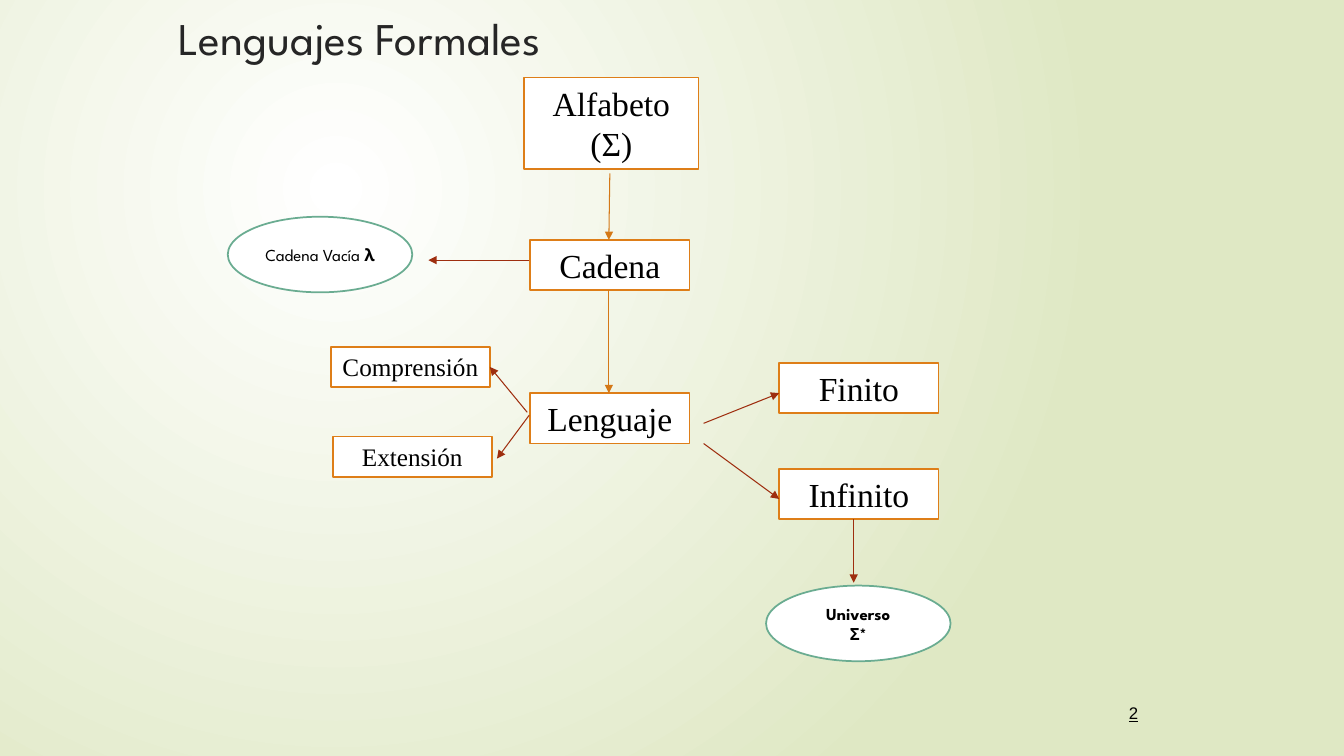
from pptx import Presentation
from pptx.util import Pt
from pptx.dml.color import RGBColor
from pptx.enum.shapes import MSO_SHAPE, MSO_CONNECTOR
from pptx.enum.text import PP_ALIGN, MSO_ANCHOR, MSO_AUTO_SIZE
from pptx.oxml import parse_xml
from pptx.oxml.ns import qn, nsdecls
from lxml.etree import SubElement


def paint(color, code):
    color.rgb = RGBColor.from_string(code)


def write(frame, rows, size=24, font="Times New Roman", ink="000000",
          align=PP_ALIGN.CENTER, anchor=MSO_ANCHOR.TOP, line=False):
    frame.word_wrap = True
    frame.vertical_anchor = anchor
    for i, row in enumerate(rows):
        para = frame.add_paragraph() if i else frame.paragraphs[0]
        para.alignment = align
        for text, bold in row:
            run = para.add_run()
            run.text = text
            run.font.size = Pt(size)
            run.font.name = font
            run.font.bold = bold
            run.font.underline = line
            paint(run.font.color, ink)


deck = Presentation()
deck.slide_width, deck.slide_height = Pt(960), Pt(540)
slide = deck.slides.add_slide(deck.slide_layouts[5])
shapes = slide.shapes

fill = slide.background.fill
fill.gradient()
for stop, code in zip(fill.gradient_stops, ("FFFFFF", "DFE8C4")):
    stop.position = 0 if code == "FFFFFF" else 1
    paint(stop.color, code)
grad = slide.element.find(".//" + qn("a:gradFill"))
grad.replace(grad.find(qn("a:lin")), parse_xml(
    f'<a:path {nsdecls("a")} path="circle">'
    '<a:fillToRect l="50000" t="50000" r="100000" b="100000"/></a:path>'))

title = shapes.title
title.left, title.top, title.width, title.height = Pt(120), Pt(3.6), Pt(708), Pt(54)
write(title.text_frame, [[("Lenguajes Formales", False)]], size=32.4,
      font="League Spartan", ink="262626", align=PP_ALIGN.LEFT)
title.text_frame.auto_size = MSO_AUTO_SIZE.NONE

page = shapes.add_textbox(Pt(743.8), Pt(491), Pt(76.3), Pt(36))
write(page.text_frame, [[("2", False)]], size=12, font="Arial",
      align=PP_ALIGN.RIGHT, anchor=MSO_ANCHOR.MIDDLE, line=True)

WIDE = 113.8
boxes = [
    ("Alfabeto (Σ)", 374.4, 55.4, 124.6, 65.5, 24),
    ("Cadena", 378.7, 171.4, WIDE, 36, 24),
    ("Lenguaje", 378.7, 280.8, WIDE, 36, 24),
    ("Finito", 556.6, 259.2, WIDE, 36, 24),
    ("Infinito", 556.6, 334.8, WIDE, 36, 24),
    ("Extensión", 237.6, 311.8, WIDE, 28.8, 18),
    ("Comprensión", 236.2, 247.7, WIDE, 28.8, 18),
]
ovals = [
    ([[("Cadena Vacía ", False), ("λ", True)]], 162.7, 154.8),
    ([[("Universo", True)], [("Σ*", True)]], 547.2, 418.3),
]
nodes = [(MSO_SHAPE.RECTANGLE, "DE7E18", x, y, w, h, [[(text, False)]],
          dict(size=size)) for text, x, y, w, h, size in boxes]
nodes += [(MSO_SHAPE.OVAL, "6AAC91", x, y, 131.8, 54, rows,
           dict(size=12, font="League Spartan", anchor=MSO_ANCHOR.MIDDLE))
          for rows, x, y in ovals]
for kind, edge, x, y, w, h, rows, style in nodes:
    node = shapes.add_shape(kind, Pt(x), Pt(y), Pt(w), Pt(h))
    node.shadow.inherit = False
    node.fill.solid()
    paint(node.fill.fore_color, "FFFFFF")
    paint(node.line.color, edge)
    node.line.width = Pt(1.25)
    write(node.text_frame, rows, **style)
    if kind == MSO_SHAPE.RECTANGLE:
        node.text_frame.auto_size = MSO_AUTO_SIZE.SHAPE_TO_FIT_TEXT

GOLD, RUST = "D47817", "9E2E0F"
arrows = [
    (435.6, 123.8, 434.9, 171.4, GOLD),
    (434.9, 207.4, 434.9, 280.8, GOLD),
    (502.6, 302.4, 556.6, 280.8, RUST),
    (502.6, 316.8, 556.6, 356.4, RUST),
    (378, 185.8, 306, 185.8, RUST),
    (609.8, 370.8, 609.8, 416.2, RUST),
    (378, 296.6, 355, 327.6, RUST),
    (376.6, 294.5, 349.9, 262.1, RUST),
]
for *ends, code in arrows:
    arrow = shapes.add_connector(MSO_CONNECTOR.STRAIGHT, *map(Pt, ends))
    paint(arrow.line.color, code)
    arrow.line.width = Pt(0.75)
    SubElement(arrow.line._get_or_add_ln(), qn("a:tailEnd"), type="triangle")
    SubElement(arrow.element.spPr, qn("a:effectLst"))

deck.save("out.pptx")
